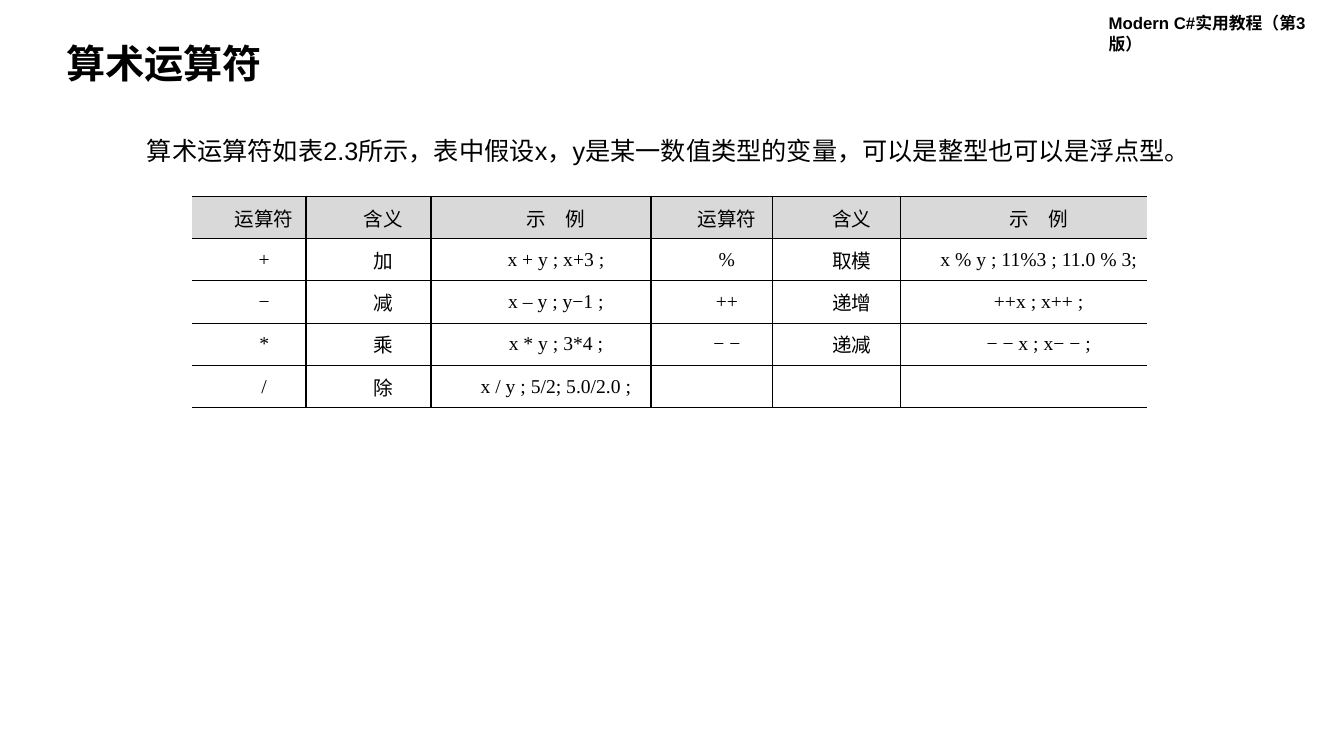
import pptx
import pptx.util
import pptx.dml.color
import pptx.enum.text
import pptx.oxml
import pptx.oxml.ns

Pt = pptx.util.Pt
ALIGN = pptx.enum.text.PP_ALIGN
BLACK = pptx.dml.color.RGBColor(0x00, 0x00, 0x00)
GREY = pptx.dml.color.RGBColor(0xD9, 0xD9, 0xD9)

ROWS = [
    ["运算符", "含义", "示　例", "运算符", "含义", "示　例"],
    ["+", "加", "x + y ; x+3 ;", "%", "取模", "x % y ; 11%3 ; 11.0 % 3;"],
    ["−", "减", "x – y ; y−1 ;", "++", "递增", "++x ; x++ ;"],
    ["*", "乘", "x * y ; 3*4 ;", "− −", "递减", "− − x ; x− − ;"],
    ["/", "除", "x / y ; 5/2; 5.0/2.0 ;", "", "", ""],
]
COLS = [81.4, 89.3, 157, 87.1, 91.4, 175.7]


def write(frame, text, size=18, face="Arial", bold=False, align=ALIGN.LEFT,
          space=None, indent=0):
    para = frame.paragraphs[0]
    para.alignment = align
    if space:
        para.line_spacing = space
    if indent:
        para._p.get_or_add_pPr().set("indent", str(Pt(indent)))
    run = para.add_run()
    run.text = text
    run.font.size = Pt(size)
    run.font.name = face
    run.font.bold = bold
    run.font.color.rgb = BLACK


class Page:
    def __init__(self, slide, face="Times New Roman", size=14):
        self.slide = slide
        self.face = face
        self.size = size

    def label(self, text, left, top, width, height, grow=False, **style):
        box = self.slide.shapes.add_textbox(Pt(left), Pt(top), Pt(width), Pt(height))
        frame = box.text_frame
        frame.word_wrap = True
        if grow:
            frame.auto_size = pptx.enum.text.MSO_AUTO_SIZE.SHAPE_TO_FIT_TEXT
        write(frame, text, **style)

    def edge(self, cell, side, width):
        space = pptx.oxml.ns.nsdecls("a")
        if width:
            fill = f'<a:solidFill><a:srgbClr val="{BLACK}"/></a:solidFill>'
        else:
            fill = "<a:noFill/>"
        line = f'<a:ln{side} {space} w="{Pt(width)}">{fill}</a:ln{side}>'
        cell._tc.get_or_add_tcPr().append(pptx.oxml.parse_xml(line))

    def grid(self, rows, cols, left, top, high):
        shape = self.slide.shapes.add_table(
            len(rows), len(cols), Pt(left), Pt(top), Pt(sum(cols)), Pt(high * len(rows)))
        table = shape.table
        table.first_row = False
        table.horz_banding = False
        for col, width in zip(table.columns, cols):
            col.width = Pt(width)
        half = len(cols) // 2
        rules = [0] + [1.5 if n == half else 1 for n in range(1, len(cols))] + [0]
        for r, row in enumerate(rows):
            table.rows[r].height = Pt(high)
            for c, text in enumerate(row):
                cell = table.cell(r, c)
                cell.margin_left = cell.margin_right = Pt(5)
                cell.margin_top = cell.margin_bottom = 0
                cell.vertical_anchor = pptx.enum.text.MSO_ANCHOR.MIDDLE
                for side, width in zip("LRTB", (rules[c], rules[c + 1], 1, 1)):
                    self.edge(cell, side, width)
                if r == 0:
                    cell.fill.solid()
                    cell.fill.fore_color.rgb = GREY
                else:
                    cell.fill.background()
                if text:
                    write(cell.text_frame, text, size=self.size, face=self.face,
                          align=ALIGN.CENTER, indent=21.6)


def main():
    deck = pptx.Presentation()
    deck.slide_width = Pt(960)
    deck.slide_height = Pt(540)
    page = Page(deck.slides.add_slide(deck.slide_layouts[6]))
    page.label("Modern C#实用教程（第3版）", 784.8, 5.8, 175.7, 21.6,
               grow=True, size=12, bold=True)
    page.label("算术运算符", 40.3, 28.1, 245.5, 37.4, size=28, bold=True, space=0.9)
    page.label("算术运算符如表2.3所示，表中假设x，y是某一数值类型的变量，可以是整型也可以是浮点型。",
               97.9, 92.9, 761, 28.8, grow=True)
    page.grid(ROWS, COLS, 137.2, 140.2, 30.24)
    deck.save("out.pptx")


if __name__ == "__main__":
    main()
